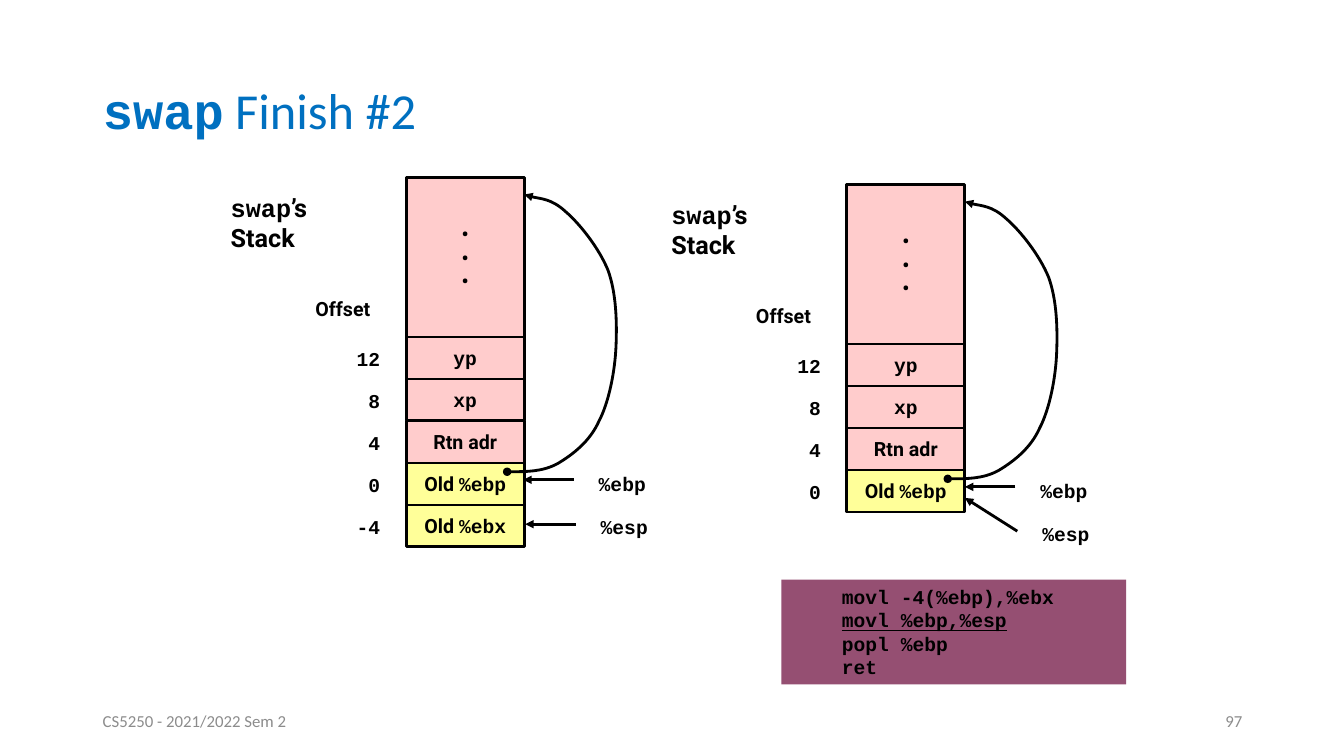
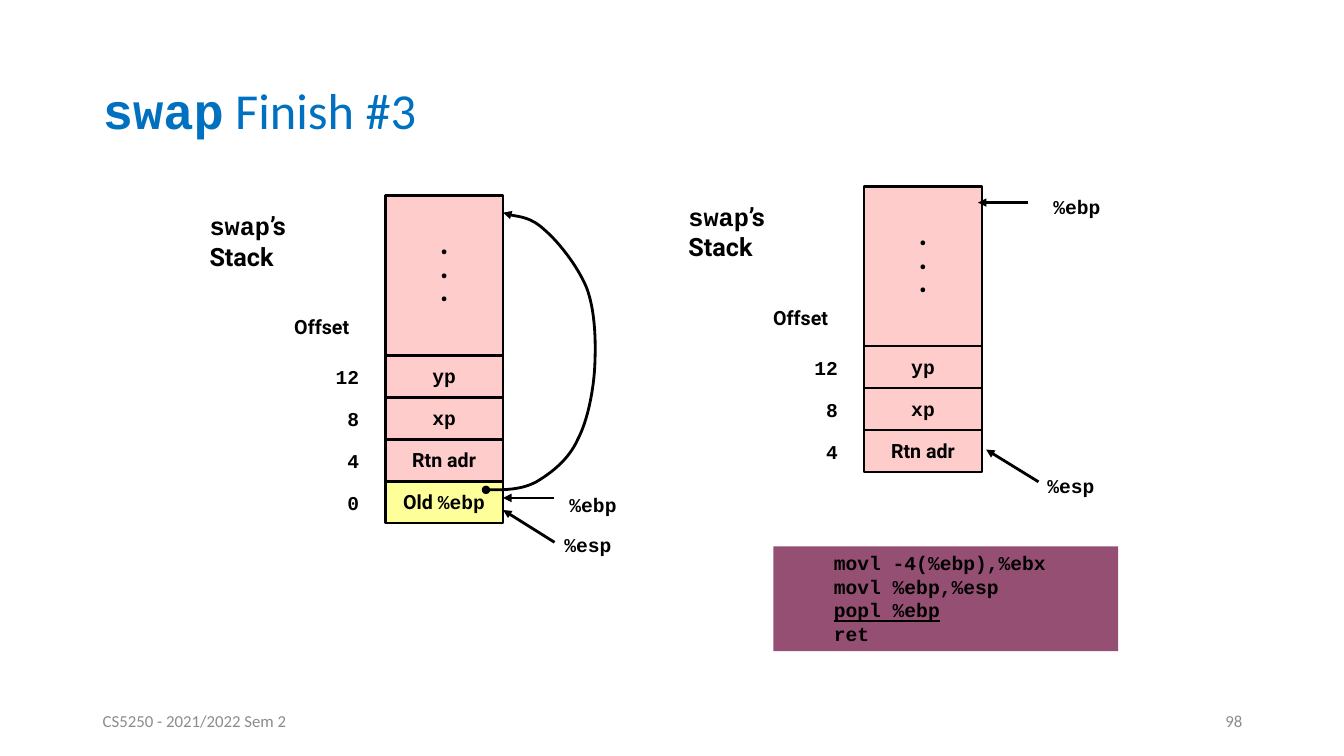
from pptx import Presentation
from pptx.dml.color import RGBColor
from pptx.enum.shapes import MSO_CONNECTOR, MSO_SHAPE
from pptx.enum.text import MSO_ANCHOR, PP_ALIGN
from pptx.oxml.ns import qn
from pptx.oxml.xmlchemy import OxmlElement
from pptx.util import Inches, Pt

LEFT, CENTER, RIGHT = PP_ALIGN.LEFT, PP_ALIGN.CENTER, PP_ALIGN.RIGHT
TOP, MIDDLE = MSO_ANCHOR.TOP, MSO_ANCHOR.MIDDLE
RECT, STRAIGHT = MSO_SHAPE.RECTANGLE, MSO_CONNECTOR.STRAIGHT

COLORS = {"title": "0070C0", "footer": "8C8C8C", "ink": "000000",
          "caller": "FFCCCC", "frame": "FFFF99", "code": "954F72"}
BODY, MONO, SANS = "Calibri", "Courier New", "Roboto"
FOOTER = "CS5250 - 2021/2022 Sem 2"
CODE = ["movl -4(%ebp),%ebx", "movl %ebp,%esp", "popl %ebp", "ret"]

# Each cell: offset, fill, runs of (text, font)
CELLS = [
    ("12", "caller", [("yp", MONO)]),
    ("8", "caller", [("xp", MONO)]),
    ("4", "caller", [("Rtn adr", SANS)]),
    ("0", "frame", [("Old ", SANS), ("%ebp", MONO)]),
    ("-4", "frame", [("Old ", SANS), ("%ebx", MONO)]),
]

# Stack geometry in inches, measured from the top left of the stack
CELL_W, ROW_H = 1.17, 1.25 / 3
HEAD_H = 3.8 * ROW_H
SAVED_EBP = [
    (1.00, 2.92),
    (1.17, 2.92), (1.35, 2.92), (1.50, 2.84),
    (1.65, 2.75), (1.82, 2.62), (1.91, 2.42),
    (2.01, 2.23), (2.07, 1.92), (2.08, 1.67),
    (2.09, 1.42), (2.08, 1.14), (2.00, 0.92),
    (1.91, 0.70), (1.72, 0.46), (1.58, 0.34),
    (1.44, 0.21), (1.23, 0.20), (1.17, 0.17),
]

# Each pointer: register, arrow start, arrow end, label corner
SLIDES = [
    {"title": " Finish #2", "number": "97", "code_at": (7.75, 5.75), "current": 1,
     "stacks": [
         {"at": (4.03, 1.76), "cells": 5, "saved_ebp": True, "pointers": [
             ("%ebp", (1.66, 3.0), (1.16, 3.0), (1.81, 2.87)),
             ("%esp", (1.68, 3.44), (1.18, 3.44), (1.83, 3.3))]},
         {"at": (8.4, 1.83), "cells": 4, "saved_ebp": True, "pointers": [
             ("%ebp", (1.67, 3.0), (1.17, 3.0), (1.82, 2.87)),
             ("%esp", (1.69, 3.44), (1.17, 3.11), (1.84, 3.3))]},
     ]},
    {"title": " Finish #3", "number": "98", "code_at": (7.67, 5.42), "current": 2,
     "stacks": [
         {"at": (3.82, 1.94), "cells": 4, "saved_ebp": True, "pointers": [
             ("%ebp", (1.67, 3.0), (1.17, 3.0), (1.73, 2.9)),
             ("%esp", (1.68, 3.44), (1.17, 3.12), (1.68, 3.3))]},
         {"at": (8.57, 1.85), "cells": 3, "saved_ebp": False, "pointers": [
             ("%ebp", (1.63, 0.16), (1.13, 0.16), (1.78, 0.03)),
             ("%esp", (1.73, 2.93), (1.21, 2.61), (1.72, 2.8))]},
     ]},
]


def rgb(name):
    return RGBColor.from_string(COLORS[name])


def add_run(p, text, font, size=14, color="ink", bold=True):
    r = p.add_run()
    r.text = text
    r.font.name, r.font.size, r.font.bold = font, Pt(size), bold
    r.font.color.rgb = rgb(color)
    return r


def write(sp, paragraphs, align=LEFT, anchor=TOP, **style):
    """Fill a shape with paragraphs, each a list of (text, font) runs."""
    tf = sp.text_frame
    tf.word_wrap = True
    tf.vertical_anchor = anchor
    for i, runs in enumerate(paragraphs):
        p = tf.add_paragraph() if i else tf.paragraphs[0]
        p.alignment = align
        for text, font in runs:
            add_run(p, text, font, **style)


def add_label(s, x, y, w, h, paragraphs, **style):
    write(s.shapes.add_textbox(*map(Inches, (x, y, w, h))), paragraphs, **style)


def add_rect(s, x, y, w, h, fill, outlined=True):
    sp = s.shapes.add_shape(RECT, *map(Inches, (x, y, w, h)))
    sp.shadow.inherit = False
    sp.fill.solid()
    sp.fill.fore_color.rgb = rgb(fill)
    if outlined:
        sp.line.color.rgb = rgb("ink")
        sp.line.width = Pt(2)
    else:
        sp.line.fill.background()
    return sp


def style_line(sp, **ends):
    """Draw a black 2 pt line; ends maps headEnd and tailEnd to a type."""
    sp.line.color.rgb = rgb("ink")
    sp.line.width = Pt(2)
    for tag in ("headEnd", "tailEnd"):
        if tag in ends:
            end = OxmlElement("a:" + tag)
            end.set("type", ends[tag])
            sp.line._get_or_add_ln().append(end)


def add_arrow(s, start, end):
    cx = s.shapes.add_connector(STRAIGHT, *map(Inches, start + end))
    cx._element.spPr.get_or_add_ln()
    style_line(cx, tailEnd="triangle")
    cx._element.spPr.append(OxmlElement("a:effectLst"))


def add_curve(s, points):
    """Draw a cubic curve: a start, then two controls and an end per segment."""
    points = [tuple(map(Inches, pt)) for pt in points]
    builder = s.shapes.build_freeform(*points[0])
    builder.add_line_segments(points[1:], close=False)
    sp = builder.convert_to_shape()
    lines = list(sp._element.iter(qn("a:lnTo")))
    for i in range(0, len(lines), 3):
        bezier = OxmlElement("a:cubicBezTo")
        lines[i].addprevious(bezier)
        for line in lines[i:i + 3]:
            bezier.append(line[0])
            line.getparent().remove(line)
    sp.shadow.inherit = False
    sp.fill.background()
    style_line(sp, headEnd="oval", tailEnd="triangle")


def add_stack(s, stack):
    x, y = stack["at"]
    add_label(s, x - 1.84, y + 0.1, 1.2, 0.7,
              [[("swap", MONO), ("’s", SANS)], [("Stack", SANS)]], size=18)
    add_label(s, x - 1, y + 1.14, 0.9, 0.33, [[("Offset", SANS)]])
    head = add_rect(s, x, y, CELL_W, HEAD_H, "caller")
    write(head, [[("•", SANS)]] * 3, align=CENTER, anchor=MIDDLE)
    for i, (offset, fill, runs) in enumerate(CELLS[:stack["cells"]]):
        top = y + HEAD_H + i * ROW_H
        cell = add_rect(s, x, top, CELL_W, ROW_H, fill)
        write(cell, [runs], align=CENTER, anchor=MIDDLE)
        add_label(s, x - 0.69, top + 0.05, 0.53, 0.33, [[(offset, MONO)]], align=RIGHT)
    for register, start, end, corner in stack["pointers"]:
        add_arrow(s, (x + start[0], y + start[1]), (x + end[0], y + end[1]))
        add_label(s, x + corner[0], y + corner[1], 0.8, 0.33, [[(register, MONO)]])
    if stack["saved_ebp"]:
        add_curve(s, [(x + dx, y + dy) for dx, dy in SAVED_EBP])


def add_code(s, at, current):
    """Show the code with the current instruction underlined."""
    sp = add_rect(s, *at, 3.42, 1.04, "code", outlined=False)
    sp.text_frame.margin_left = Inches(0.6)
    write(sp, [[(line, MONO)] for line in CODE])
    sp.text_frame.paragraphs[current].runs[0].font.underline = True


def add_frame(s, title, number):
    """Set the title, footer and slide number."""
    sp = s.shapes.title
    sp.left, sp.top, sp.width, sp.height = map(Inches, (0.92, 0.4, 11.5, 1.45))
    sp.text_frame.vertical_anchor = MIDDLE
    p = sp.text_frame.paragraphs[0]
    p.alignment, p.line_spacing = LEFT, 0.9
    add_run(p, "swap", MONO, 36, "title")
    add_run(p, title, BODY, 36, "title", bold=False)
    for x, text, align in ((0.92, FOOTER, LEFT), (9.42, number, RIGHT)):
        add_label(s, x, 6.95, 3, 0.4, [[(text, BODY)]], align=align, anchor=MIDDLE,
                  size=12, color="footer", bold=False)


def main():
    prs = Presentation()
    prs.slide_width, prs.slide_height = Inches(13.33), Inches(7.5)
    for content in SLIDES:
        s = prs.slides.add_slide(prs.slide_layouts[5])
        add_frame(s, content["title"], content["number"])
        add_code(s, content["code_at"], content["current"])
        for stack in content["stacks"]:
            add_stack(s, stack)
    prs.save("out.pptx")


if __name__ == "__main__":
    main()
